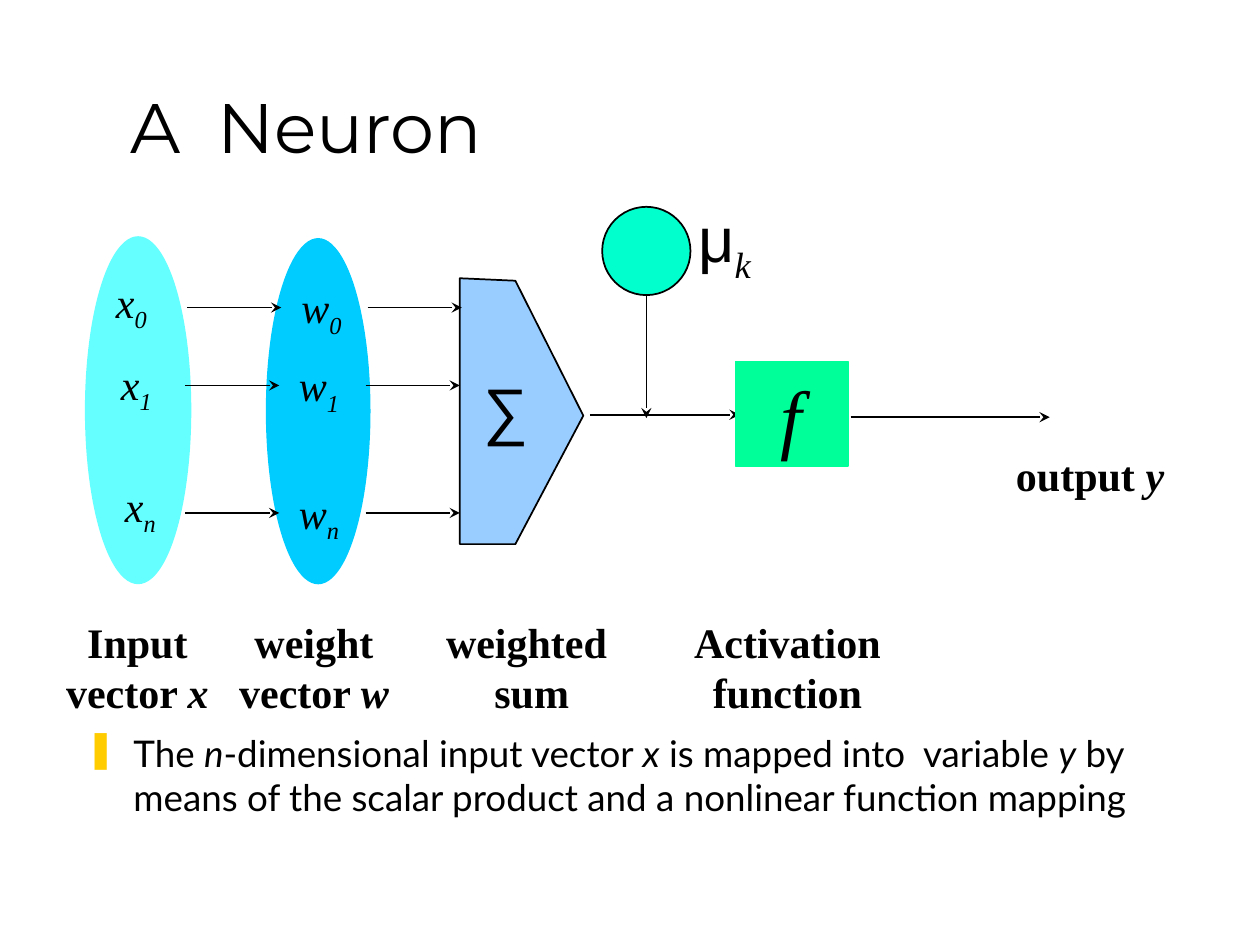
from dataclasses import dataclass
from typing import Optional

import lxml.etree
import pptx
import pptx.dml.color
import pptx.enum.shapes
import pptx.enum.text
import pptx.oxml.ns
import pptx.util

Cm = pptx.util.Cm
Pt = pptx.util.Pt
RGBColor = pptx.dml.color.RGBColor
MSO_SHAPE = pptx.enum.shapes.MSO_SHAPE
PP_ALIGN = pptx.enum.text.PP_ALIGN
ANCHOR = pptx.enum.text.MSO_ANCHOR
AUTO_SIZE = pptx.enum.text.MSO_AUTO_SIZE
qn = pptx.oxml.ns.qn

BLACK = RGBColor(0x00, 0x00, 0x00)
INPUT_CYAN = RGBColor(0x66, 0xFF, 0xFF)
WEIGHT_BLUE = RGBColor(0x00, 0xCC, 0xFF)
SUM_BLUE = RGBColor(0x99, 0xCC, 0xFF)
BIAS_TEAL = RGBColor(0x00, 0xFF, 0xCC)
ACTIVATION_GREEN = RGBColor(0x00, 0xFF, 0x99)
BULLET_GOLD = RGBColor(0xFF, 0xCC, 0x00)
SERIF = "Times New Roman"

MARGINS = {
    "margin_left": Cm(0.25),
    "margin_right": Cm(0.25),
    "margin_top": Cm(0.13),
    "margin_bottom": Cm(0.13),
}
LABEL_FRAME = MARGINS | {
    "word_wrap": False,
    "auto_size": AUTO_SIZE.SHAPE_TO_FIT_TEXT,
    "vertical_anchor": ANCHOR.TOP,
}
WRAPPED_LABEL = LABEL_FRAME | {"word_wrap": True}
TITLE_FRAME = MARGINS | {"word_wrap": True, "vertical_anchor": ANCHOR.BOTTOM}
BODY_FRAME = MARGINS | {"word_wrap": True, "vertical_anchor": ANCHOR.TOP}
CENTERED = {"alignment": PP_ALIGN.CENTER}
LEFT = {"alignment": PP_ALIGN.LEFT}
VARIABLE = {"name": SERIF, "size": Pt(24), "italic": True}
CAPTION = {"name": SERIF, "size": Pt(24), "bold": True}


@dataclass(frozen=True)
class Box:
    left: float
    top: float
    width: float
    height: float

    def lengths(self) -> tuple:
        return Cm(self.left), Cm(self.top), Cm(self.width), Cm(self.height)


@dataclass(frozen=True)
class Span:
    text: str
    italic: bool = False
    subscript: bool = False
    font: Optional[str] = None


@dataclass(frozen=True)
class Caption:
    box: Box
    lines: tuple


@dataclass(frozen=True)
class SignalRow:
    index: str
    level: float
    shift: float
    input_left: float
    input_top: float
    weight_left: float


def apply(target, values: dict) -> None:
    for name, value in values.items():
        setattr(target, name, value)


def write(shape, lines: tuple, font: dict, frame_format: dict = LABEL_FRAME,
          paragraph_format: dict = CENTERED):
    frame = shape.text_frame
    apply(frame, frame_format)
    for number, spans in enumerate(lines):
        paragraph = frame.add_paragraph() if number else frame.paragraphs[0]
        apply(paragraph, paragraph_format)
        for span in spans:
            run = paragraph.add_run()
            run.text = span.text
            apply(run.font, font)
            run.font.color.rgb = BLACK
            if span.italic:
                run.font.italic = True
            if span.font:
                run.font.name = span.font
            if span.subscript:
                run._r.get_or_add_rPr().set("baseline", "-25000")
    return frame


def label(slide, box: Box, lines: tuple, font: dict, frame_format: dict = LABEL_FRAME,
          paragraph_format: dict = CENTERED):
    return write(slide.shapes.add_textbox(*box.lengths()), lines, font,
                 frame_format, paragraph_format)


def paint(shape, fill: RGBColor, outline: Optional[RGBColor]):
    shape.shadow.inherit = False
    shape.fill.solid()
    shape.fill.fore_color.rgb = fill
    if outline is None:
        shape.line.fill.background()
    else:
        shape.line.color.rgb = outline
        shape.line.width = Pt(1)
    return shape


def block(slide, kind, box: Box, fill: RGBColor, outline: Optional[RGBColor] = None):
    return paint(slide.shapes.add_shape(kind, *box.lengths()), fill, outline)


def arrow(slide, x1: float, y1: float, x2: float, y2: float) -> None:
    signal = slide.shapes.add_connector(
        pptx.enum.shapes.MSO_CONNECTOR.STRAIGHT, Cm(x1), Cm(y1), Cm(x2), Cm(y2))
    signal.line.color.rgb = BLACK
    signal.line.width = Pt(1)
    lxml.etree.SubElement(signal.line._get_or_add_ln(), qn("a:tailEnd"), type="stealth")
    lxml.etree.SubElement(signal._element.spPr, qn("a:effectLst"))


def polygon(slide, corners: tuple, fill: RGBColor, outline: RGBColor) -> None:
    points = [(Cm(x), Cm(y)) for x, y in corners]
    builder = slide.shapes.build_freeform(*points[0])
    builder.add_line_segments(points[1:], close=True)
    paint(builder.convert_to_shape(), fill, outline)


def add_bullet(paragraph, symbol: str, color: RGBColor, indent: float) -> None:
    properties = paragraph._p.get_or_add_pPr()
    properties.set("marL", str(Cm(indent)))
    properties.set("indent", str(-Cm(indent)))
    tint = lxml.etree.SubElement(properties, qn("a:buClr"))
    lxml.etree.SubElement(tint, qn("a:srgbClr"), val=str(color))
    lxml.etree.SubElement(properties, qn("a:buChar"), char=symbol)


ROWS = (
    SignalRow("0", 6.2, 0.04, 2.08, 5.44, 5.82),
    SignalRow("1", 7.77, 0, 2.18, 7.09, 5.77),
    SignalRow("n", 10.34, 0, 2.26, 9.55, 5.77),
)
CAPTIONS = (
    Caption(Box(1.07, 12.29, 3.4, 2.29),
            ((Span("Input"),), (Span("vector "), Span("x", italic=True)))),
    Caption(Box(4.55, 12.29, 3.56, 2.29),
            ((Span("weight"),), (Span("vector "), Span("w", italic=True)))),
    Caption(Box(8.74, 12.29, 3.96, 2.29), ((Span("weighted "),), (Span("sum"),))),
    Caption(Box(13.74, 12.29, 4.27, 2.29), ((Span("Activation"),), (Span("function"),))),
    Caption(Box(20.22, 8.94, 3.51, 1.27), ((Span("output "), Span("y", italic=True)),)),
)
SUMMARY = (
    Span("The "), Span("n", italic=True), Span("-dimensional input vector "),
    Span("x", italic=True), Span(" is mapped into  variable "), Span("y", italic=True),
    Span(" by means of the scalar product and a nonlinear function mapping"),
)


def main() -> None:
    deck = pptx.Presentation()
    apply(deck, {"slide_width": Cm(25.4), "slide_height": Cm(19.05)})
    slide = deck.slides.add_slide(deck.slide_layouts[6])

    label(slide, Box(2.39, 0.91, 15.01, 2.59), ((Span("A  Neuron"),),),
          {"name": "Montserrat", "size": Pt(40)}, TITLE_FRAME, LEFT)
    summary = label(slide, Box(1.47, 14.6, 22.43, 2.97), (SUMMARY,),
                    {"name": "Lato", "size": Pt(21)}, BODY_FRAME,
                    LEFT | {"space_before": Pt(7.5)})
    add_bullet(summary.paragraphs[0], "❚", BULLET_GOLD, 0.97)

    block(slide, MSO_SHAPE.OVAL, Box(5.36, 4.8, 2.11, 6.98), WEIGHT_BLUE)
    block(slide, MSO_SHAPE.OVAL, Box(1.73, 4.78, 2.11, 6.98), INPUT_CYAN, INPUT_CYAN)

    arrow(slide, 11.89, 8.36, 14.91, 8.36)
    activation = block(slide, MSO_SHAPE.RECTANGLE, Box(14.83, 7.29, 2.26, 2.11),
                       ACTIVATION_GREEN, ACTIVATION_GREEN)
    write(activation, ((Span("f", italic=True),),), {"name": SERIF, "size": Pt(44)},
          WRAPPED_LABEL)
    arrow(slide, 17.15, 8.41, 21.16, 8.41)

    block(slide, MSO_SHAPE.OVAL, Box(12.14, 4.17, 1.78, 1.78), BIAS_TEAL, BLACK)
    label(slide, Box(13.82, 3.89, 1.57, 1.98),
          ((Span("μ"), Span("k", italic=True, subscript=True, font=SERIF)),),
          {"name": "Arial", "size": Pt(36)})
    arrow(slide, 13.03, 5.95, 13.03, 8.43)

    polygon(slide, ((9.27, 5.61), (9.27, 10.97), (10.39, 10.97), (11.76, 8.38),
                    (10.39, 5.66)), SUM_BLUE, BLACK)
    label(slide, Box(9.5, 7.34, 1.4, 1.78), ((Span("∑"),),),
          {"name": "Arial", "size": Pt(36)})

    for row in ROWS:
        subscript = Span(row.index, subscript=True)
        for start in (3.73, 7.37):
            tail = start + row.shift
            arrow(slide, tail, row.level, tail + 1.9, row.level)
        label(slide, Box(row.input_left, row.input_top, 1.14, 1.42),
              ((Span("x"), subscript),), VARIABLE)
        label(slide, Box(row.weight_left, row.level - 0.65, 1.32, 1.42),
              ((Span("w"), subscript),), VARIABLE)

    for caption in CAPTIONS:
        label(slide, caption.box, caption.lines, CAPTION)

    deck.save("out.pptx")


if __name__ == "__main__":
    main()
